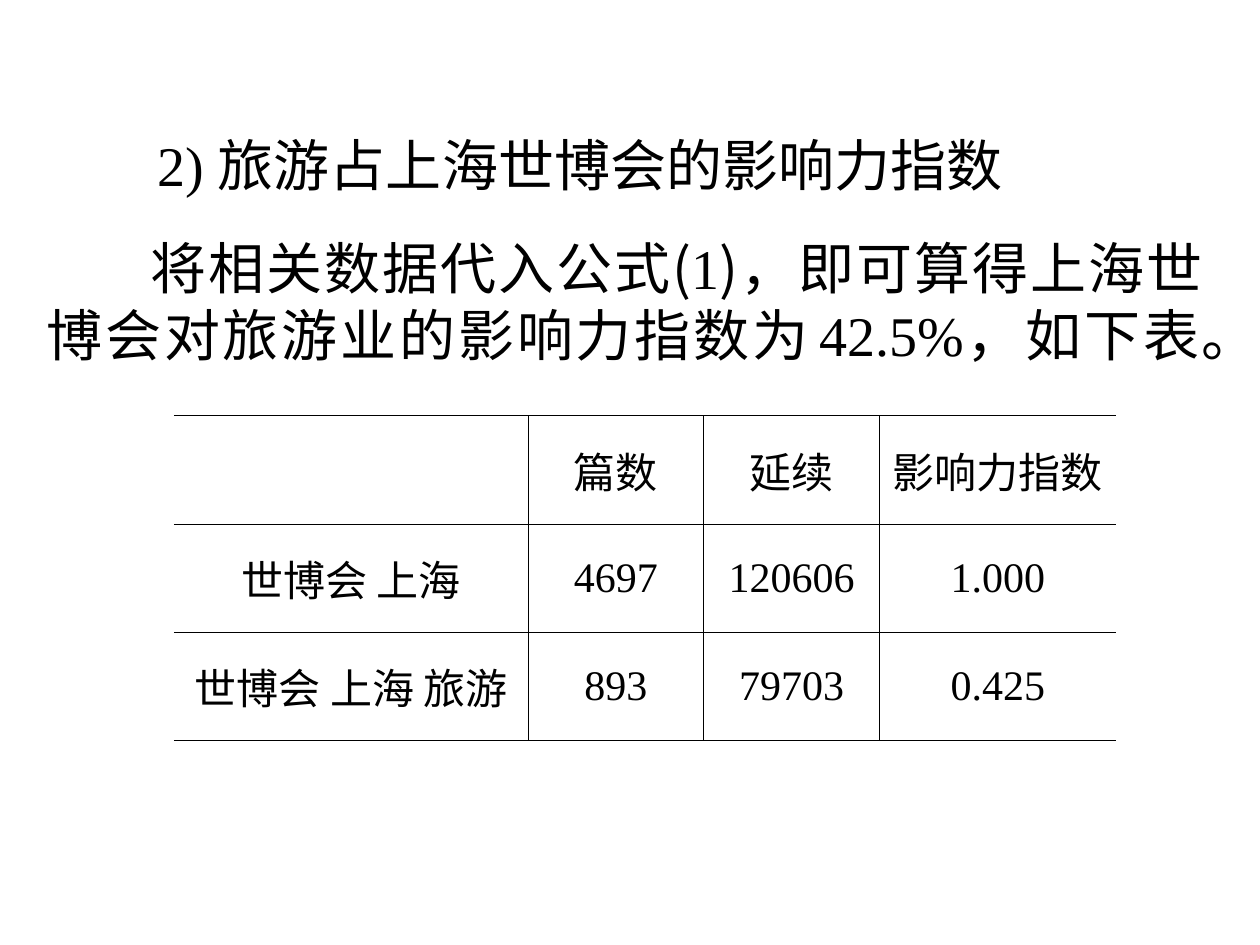
import pptx
import pptx.dml.color
import pptx.enum.text
import pptx.oxml.ns
import pptx.util
from lxml import etree

SERIF, SANS = "Times New Roman", "Noto Sans CJK SC"
BLACK = "000000"
ALIGN = pptx.enum.text.PP_ALIGN
ROWS = [
    ["", "篇数", "延续", "影响力指数"],
    ["世博会 上海", "4697", "120606", "1.000"],
    ["世博会 上海 旅游", "893", "79703", "0.425"],
]
HEADING = [("2) 旅游占上海世博会的影响力指数", {})]
BODY = [
    ("将相关数据代入公式", {}),
    ("(", {"font": SANS}),
    ("1", {}),
    (")", {"font": SANS}),
    ("，即可算得上海世博会对旅游业的影响力指数为", {}),
    (" ", {"size": 10}),
    ("42.5%，如下表。", {}),
]


def rgb(value):
    """Turn a hex string into a colour."""
    return pptx.dml.color.RGBColor.from_string(value)


def sub(parent, tag, **attrs):
    """Append a DrawingML child element."""
    return etree.SubElement(parent, pptx.oxml.ns.qn(tag), **attrs)


def add_text(p, text, size=32, font=SERIF, color=BLACK):
    """Add a formatted run to a paragraph."""
    r = p.add_run()
    r.text = text
    r.font.size = pptx.util.Pt(size)
    r.font.color.rgb = rgb(color)
    r.font.name = font
    sub(r.font._element, "a:ea", typeface=SANS)


def set_borders(cell, visible):
    """Draw the named sides of a cell and hide the others."""
    tcPr = cell._tc.get_or_add_tcPr()
    for side in "LRTB":
        ln = sub(tcPr, "a:ln" + side, w=str(pptx.util.Pt(0.45)))
        if side in visible:
            sub(sub(ln, "a:solidFill"), "a:srgbClr", val=BLACK)
        else:
            sub(ln, "a:noFill")


def add_passage(s, left, top, width, height):
    """Place the heading and the paragraph below it."""
    tf = s.shapes.add_textbox(left, top, width, height).text_frame
    tf.word_wrap = True
    for i, (runs, indent) in enumerate([(HEADING, 0.88), (BODY, 0.83)]):
        p = tf.add_paragraph() if i else tf.paragraphs[0]
        p.alignment = ALIGN.JUSTIFY
        p.space_before = pptx.util.Pt(20 * i)
        p._p.get_or_add_pPr().set("indent", str(pptx.util.Inches(indent)))
        for text, fmt in runs:
            add_text(p, text, **fmt)


def add_index_table(s, left, top, width, height):
    """Place the open-sided table of influence indices."""
    shares = [0.376, 0.186, 0.187, 0.251]
    table = s.shapes.add_table(len(ROWS), len(shares), left, top, width, height).table
    table.first_row = table.horz_banding = False
    for col, share in zip(table.columns, shares):
        col.width = int(width * share)
    for i, row in enumerate(ROWS):
        for j, text in enumerate(row):
            cell = table.cell(i, j)
            cell.vertical_anchor = pptx.enum.text.MSO_ANCHOR.MIDDLE
            sides = "TB" + ("L" if j else "") + ("R" if j < len(row) - 1 else "")
            set_borders(cell, sides)
            cell.fill.background()
            p = cell.text_frame.paragraphs[0]
            p.alignment = ALIGN.CENTER
            if text:
                add_text(p, text, size=24)


def main():
    """Build and save the slide."""
    prs = pptx.Presentation()
    prs.slide_width, prs.slide_height = pptx.util.Inches(10), pptx.util.Inches(7.5)
    s = prs.slides.add_slide(prs.slide_layouts[6])
    inches = pptx.util.Inches
    add_passage(s, inches(0.27), inches(0.99), inches(9.37), inches(1.98))
    add_index_table(s, inches(1.38), inches(3.3), inches(7.48), inches(2.58))
    prs.save("out.pptx")


if __name__ == "__main__":
    main()
